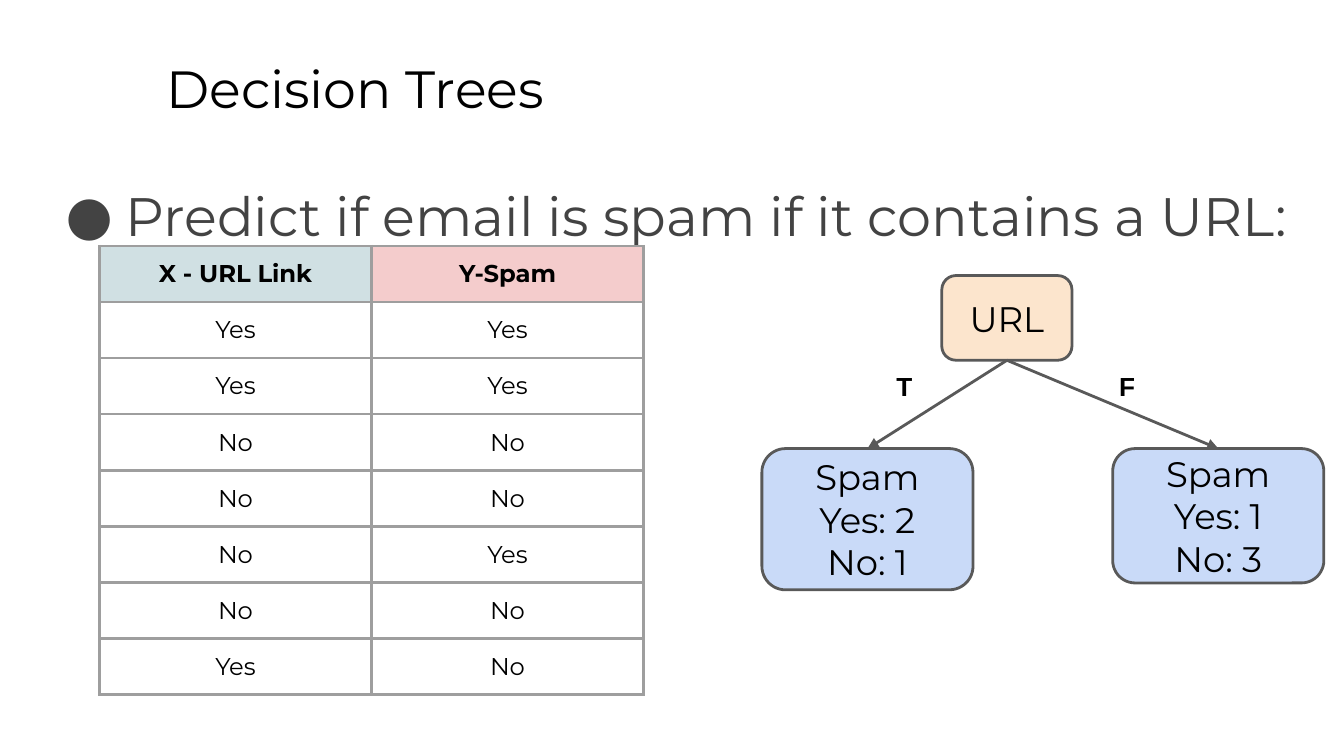
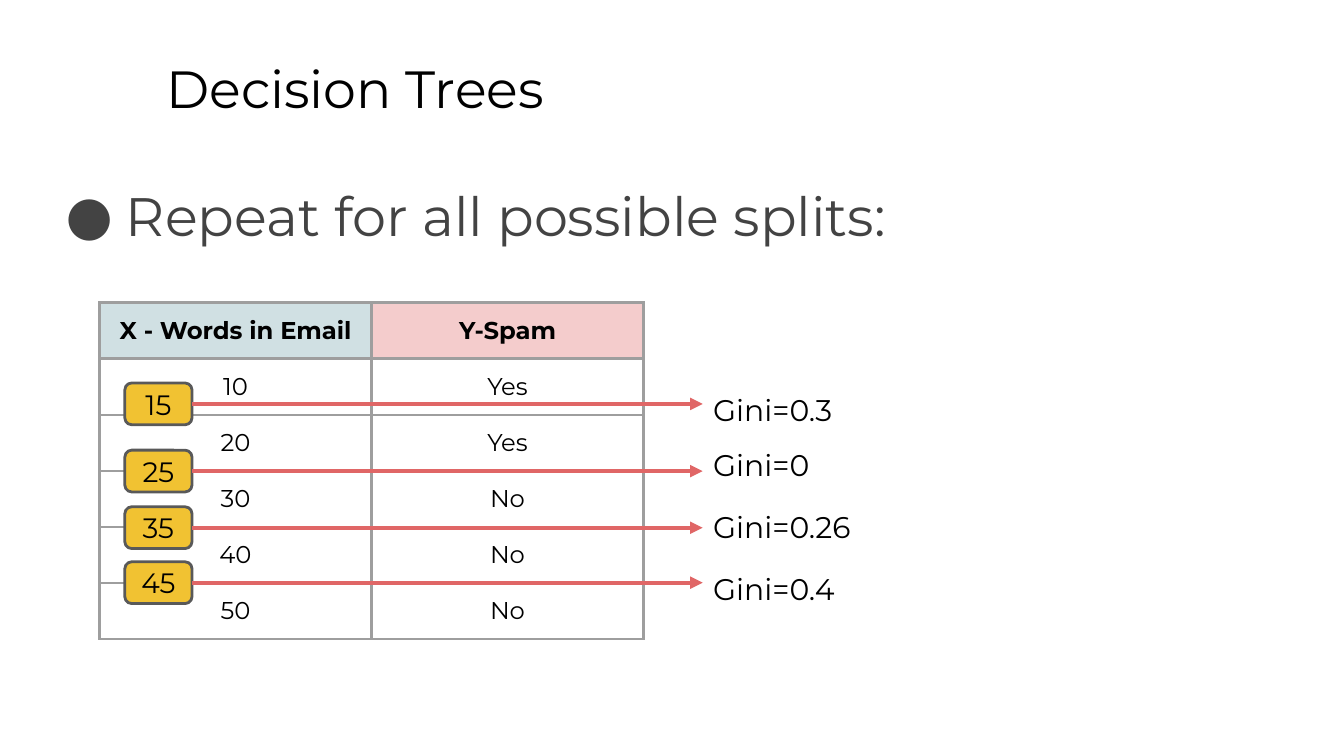
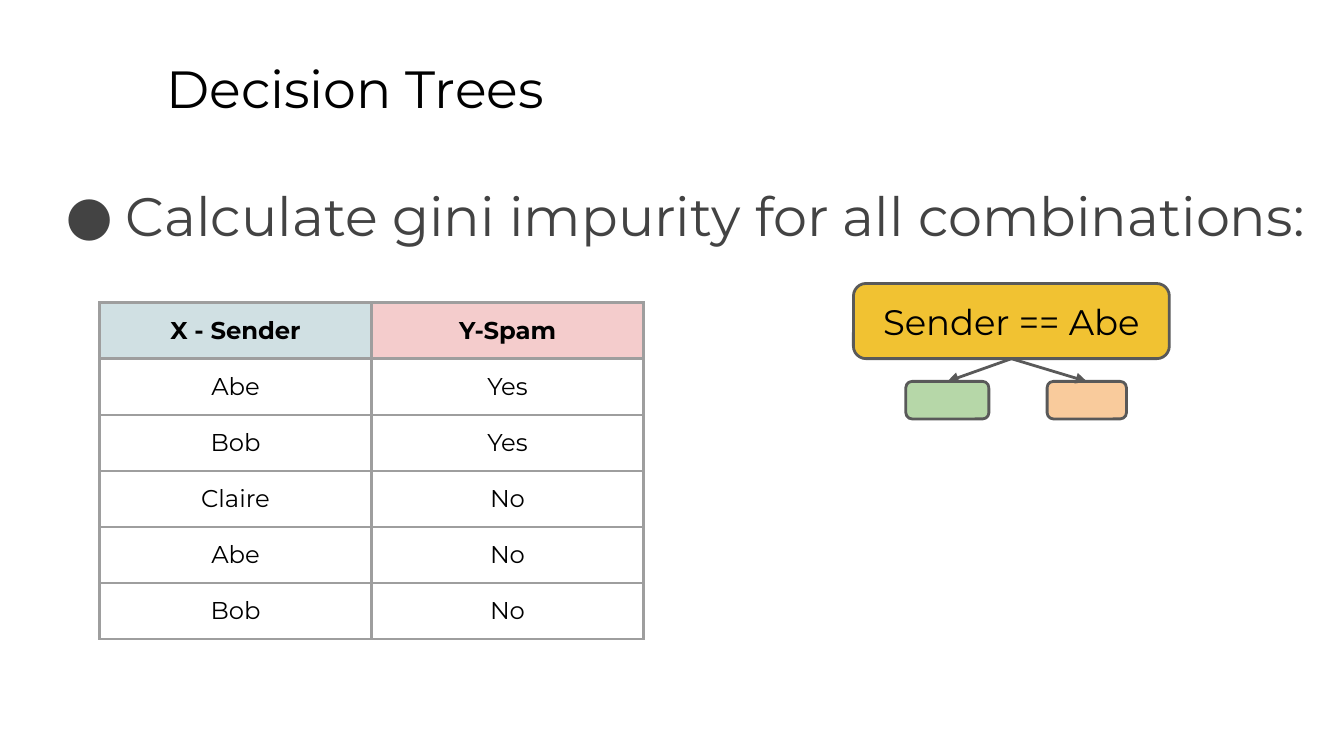
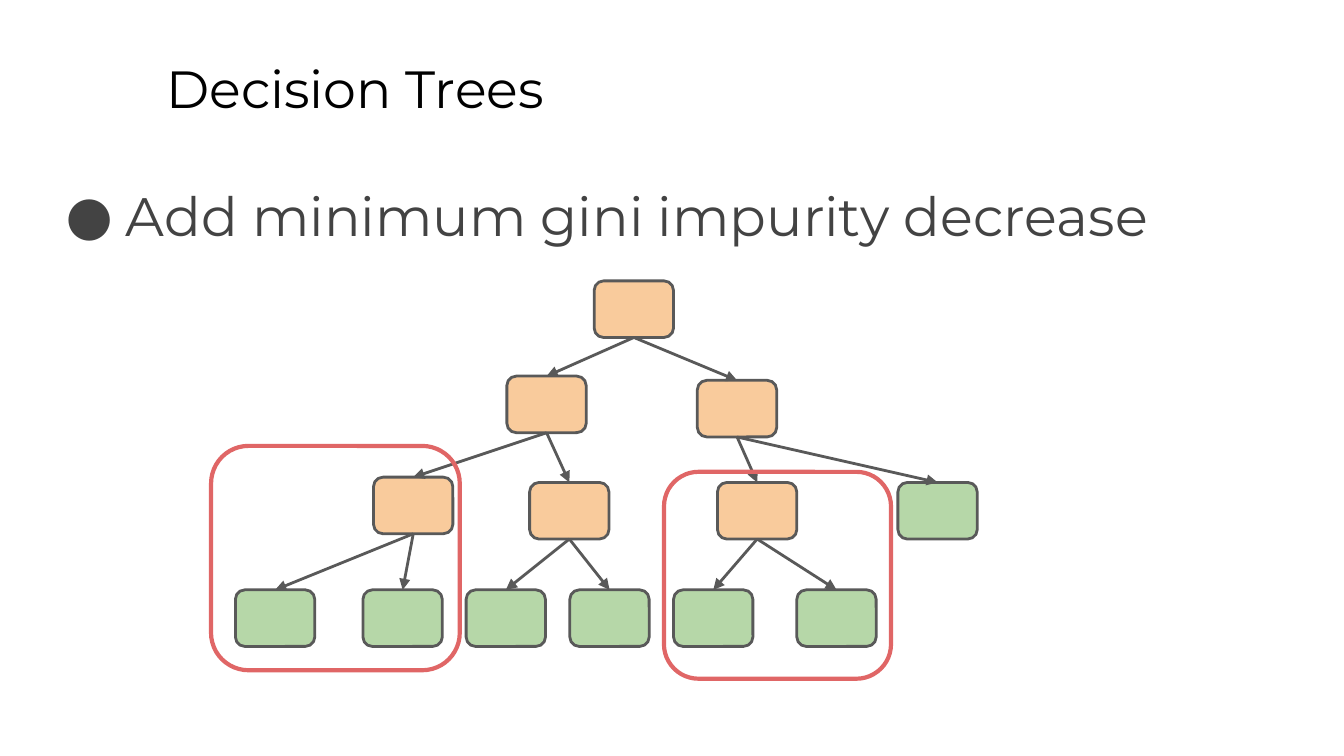
from lxml.etree import SubElement
from pptx import Presentation
from pptx.dml.color import RGBColor
from pptx.enum.shapes import MSO_CONNECTOR, MSO_SHAPE
from pptx.enum.text import MSO_ANCHOR, PP_ALIGN
from pptx.oxml.ns import qn
from pptx.util import Cm, Pt

COLORS = {
    "ink": "000000", "body": "434343", "outline": "595959", "grid": "9E9E9E",
    "feature": "D0E0E3", "target": "F4CCCC", "question": "FCE5CD",
    "count": "C9DAF8", "split": "F1C232", "branch": "F9CB9C",
    "leaf": "B6D7A8", "accent": "E06666",
}
RGB = {name: RGBColor.from_string(value) for name, value in COLORS.items()}
INSETS = {side: Cm(0.25) for side in
          ("margin_left", "margin_right", "margin_top", "margin_bottom")}
TOP, BOTTOM, RIGHT = 0, 2, 3


def write(holder, text, size, color="ink", align=PP_ALIGN.LEFT,
          anchor=MSO_ANCHOR.TOP, font="Montserrat", bold=False):
    """Fill a shape, text box or cell with text, one paragraph per line."""
    frame = holder.text_frame
    frame.word_wrap = True
    frame.text = text
    # Cells keep their margins and anchor themselves, shapes in their frame.
    layout = frame if hasattr(holder, "shape_type") else holder
    for name, value in {**INSETS, "vertical_anchor": anchor}.items():
        setattr(layout, name, value)
    for paragraph in frame.paragraphs:
        paragraph.alignment = align
        for run in paragraph.runs:
            for name, value in {"name": font, "size": Pt(size), "bold": bold}.items():
                setattr(run.font, name, value)
            run.font.color.rgb = RGB[color]


def add_arrow(slide, source, side, target=None, end=(0, 0), color="outline", width=1.5):
    """Draw an arrow from a side of source to the top of target, or to a point."""
    arrow = slide.shapes.add_connector(MSO_CONNECTOR.STRAIGHT, 0, 0, *end)
    arrow.begin_connect(source, side)
    if target is not None:
        arrow.end_connect(target, TOP)
    arrow.line.color.rgb = RGB[color]
    arrow.line.width = Pt(width)
    properties = arrow._element.spPr
    SubElement(properties.find(qn("a:ln")), qn("a:tailEnd"), type="triangle")
    SubElement(properties, qn("a:effectLst"))


deck = Presentation()
deck.slide_width, deck.slide_height = Cm(25.4), Cm(14.29)

# Title, bullet and data table: bullet text, bullet width, table top, rows
lessons = [
    ("Predict if email is spam if it contains a URL:", 24.13, 4.65, [
        ("X - URL Link", "Y-Spam"), ("Yes", "Yes"), ("Yes", "Yes"), ("No", "No"),
        ("No", "No"), ("No", "Yes"), ("No", "No"), ("Yes", "No")]),
    ("Repeat for all possible splits:", 24.13, 5.72, [
        ("X - Words in Email", "Y-Spam"), ("10", "Yes"), ("20", "Yes"),
        ("30", "No"), ("40", "No"), ("50", "No")]),
    ("Calculate gini impurity for all combinations:", 24.54, 5.72, [
        ("X - Sender", "Y-Spam"), ("Abe", "Yes"), ("Bob", "Yes"),
        ("Claire", "No"), ("Abe", "No"), ("Bob", "No")]),
    ("Add minimum gini impurity decrease", 24.13, 0, []),
]
ROW_HEIGHT, COLUMN_WIDTH = 1.06, 5.14
slides = []
for bullet_text, bullet_width, table_top, rows in lessons:
    slide = deck.slides.add_slide(deck.slide_layouts[6])
    slides.append(slide)
    title = slide.shapes.add_textbox(Cm(2.9), Cm(0.82), Cm(21.64), Cm(1.6))
    write(title, "Decision Trees", 28)

    bullet = slide.shapes.add_textbox(Cm(0.86), Cm(3.2), Cm(bullet_width), Cm(1.6))
    write(bullet, bullet_text, 29, "body")
    indents = bullet.text_frame.paragraphs[0]._p.get_or_add_pPr()
    indents.set("marL", str(Cm(1.27)))
    indents.set("indent", str(Cm(-1.14)))
    SubElement(SubElement(indents, qn("a:buClr")), qn("a:srgbClr"), val=COLORS["body"])
    SubElement(indents, qn("a:buFont"), typeface="Montserrat")
    SubElement(indents, qn("a:buChar"), char="●")

    if not rows:
        continue
    table = slide.shapes.add_table(
        len(rows), 2, Cm(1.88), Cm(table_top),
        Cm(2 * COLUMN_WIDTH), Cm(len(rows) * ROW_HEIGHT)).table
    table.first_row = table.horz_banding = False
    for row_index, row in enumerate(rows):
        is_header = row_index == 0
        for column_index, value in enumerate(row):
            cell = table.cell(row_index, column_index)
            write(cell, value, 13, align=PP_ALIGN.CENTER, bold=is_header)
            borders = cell._tc.get_or_add_tcPr()
            for edge in ("a:lnL", "a:lnR", "a:lnT", "a:lnB"):
                border = SubElement(borders, qn(edge), w=str(Pt(1.5)))
                SubElement(SubElement(border, qn("a:solidFill")),
                           qn("a:srgbClr"), val=COLORS["grid"])
            if is_header:
                cell.fill.solid()
                cell.fill.fore_color.rgb = RGB[("feature", "target")[column_index]]
            else:
                cell.fill.background()

url_slide, split_slide, sender_slide, pruning_slide = slides

# Nodes: left, top, width, height, colour, text, text size
url_nodes = [
    (17.8, 5.21, 2.46, 1.6, "question", "URL", 19),
    (14.4, 8.48, 3.99, 2.67, "count", "Spam\nYes: 2\nNo: 1", 19),
    (21.03, 8.48, 3.99, 2.54, "count", "Spam\nYes: 1\nNo: 3", 19),
]
split_nodes = [
    (2.36, top, 1.27, 0.79, "split", threshold, 15)
    for top, threshold in ((7.24, "15"), (8.51, "25"), (9.58, "35"), (10.62, "45"))
]
sender_nodes = [
    (16.13, 5.36, 5.97, 1.42, "split", "Sender == Abe", 19),
    (17.12, 7.21, 1.57, 0.71, "leaf", "", 19),
    (19.79, 7.21, 1.5, 0.71, "branch", "", 19),
]
pruning_nodes = [
    (left, top, 1.5, 1.07, color, "", 19)
    for left, top, color in (
        (11.23, 5.31, "branch"),
        (9.58, 7.11, "branch"), (13.18, 7.19, "branch"),
        (7.06, 9.02, "branch"), (10.01, 9.12, "branch"),
        (13.56, 9.12, "branch"), (16.97, 9.12, "leaf"),
        (4.45, 11.15, "leaf"), (6.86, 11.15, "leaf"),
        (8.81, 11.15, "leaf"), (10.77, 11.15, "leaf"),
        (12.73, 11.15, "leaf"), (15.06, 11.15, "leaf"))
]

# Nodes run level by level, so the children of parent n are 2n + 1 and 2n + 2.
for slide, nodes, parent_count in (
        (url_slide, url_nodes, 1), (split_slide, split_nodes, 0),
        (sender_slide, sender_nodes, 1), (pruning_slide, pruning_nodes, 6)):
    drawn = []
    for left, top, width, height, color, text, size in nodes:
        node = slide.shapes.add_shape(
            MSO_SHAPE.ROUNDED_RECTANGLE, Cm(left), Cm(top), Cm(width), Cm(height))
        node.shadow.inherit = False
        node.fill.solid()
        node.fill.fore_color.rgb = RGB[color]
        node.line.color.rgb = RGB["outline"]
        node.line.width = Pt(1.5)
        if text:
            write(node, text, size, align=PP_ALIGN.CENTER, anchor=MSO_ANCHOR.MIDDLE)
        drawn.append(node)
    for parent in range(parent_count):
        for child in (2 * parent + 1, 2 * parent + 2):
            add_arrow(slide, drawn[parent], BOTTOM, drawn[child])
    if slide is split_slide:
        thresholds = drawn

for answer, left in (("T", 16.69), ("F", 20.9)):
    answer_label = url_slide.shapes.add_textbox(Cm(left), Cm(6.76), Cm(0.66), Cm(0.51))
    write(answer_label, answer, 14, font="Arial", bold=True)
    answer_label.text_frame.word_wrap = False

scores = (("0.3", 7.16), ("0", 8.2), ("0.26", 9.37), ("0.4", 10.54))
for threshold, (gini, top) in zip(thresholds, scores):
    middle = threshold.top + threshold.height // 2
    add_arrow(split_slide, threshold, RIGHT, end=(Cm(13.28), middle),
              color="accent", width=2.25)
    score = split_slide.shapes.add_textbox(Cm(13.23), Cm(top), Cm(3.35), Cm(1.17))
    write(score, f"Gini={gini}", 16)

for left, top, width, height in ((3.99, 8.43, 4.7, 4.24), (12.55, 8.92, 4.29, 3.91)):
    pruned = pruning_slide.shapes.add_shape(
        MSO_SHAPE.ROUNDED_RECTANGLE, Cm(left), Cm(top), Cm(width), Cm(height))
    pruned.shadow.inherit = False
    pruned.fill.background()
    pruned.line.color.rgb = RGB["accent"]
    pruned.line.width = Pt(2.25)

deck.save("out.pptx")
